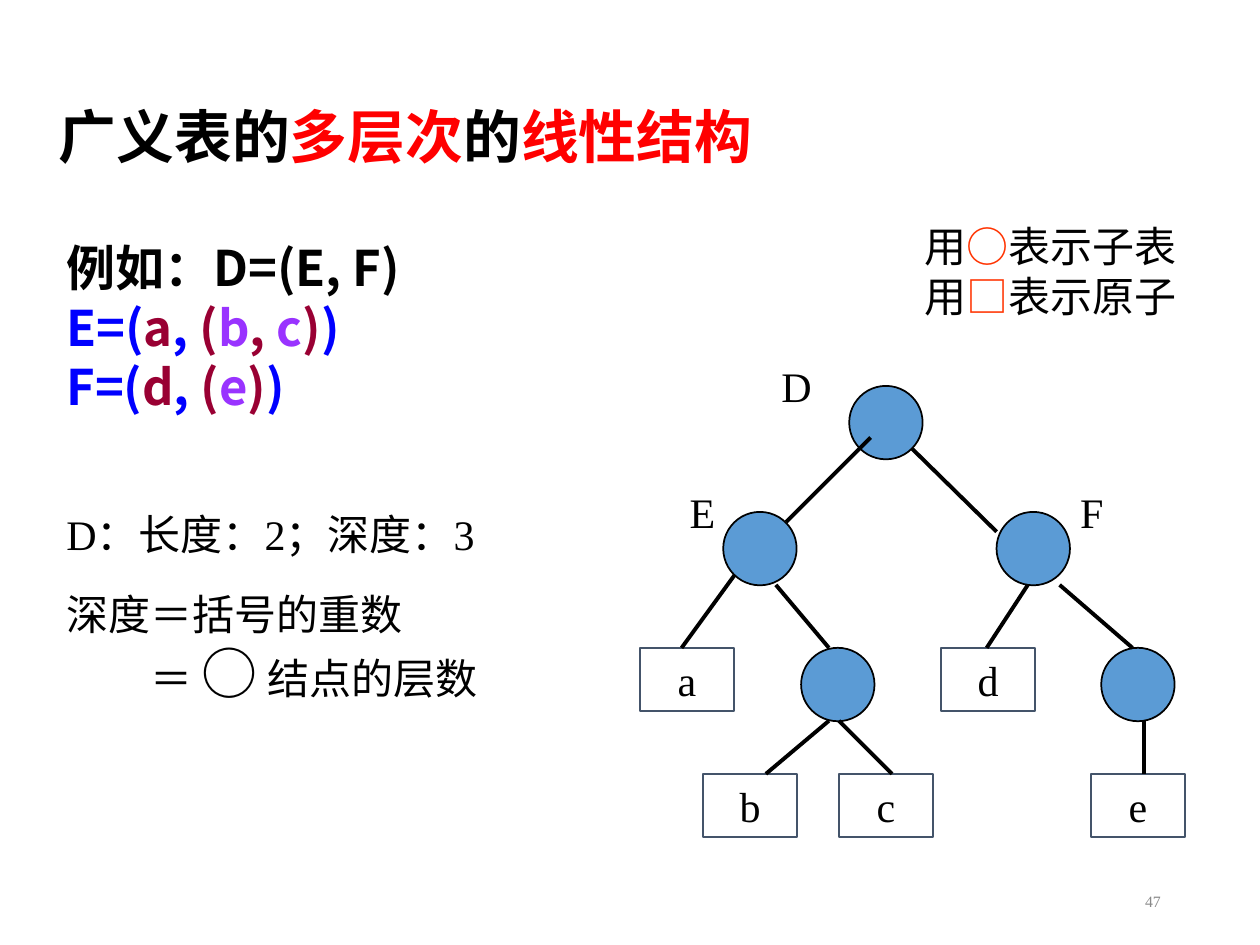
import pptx
import pptx.dml.color
import pptx.enum.shapes
import pptx.enum.text
import pptx.util
from lxml import etree
from pptx.dml.color import RGBColor
from pptx.enum.shapes import MSO_CONNECTOR, MSO_SHAPE
from pptx.enum.text import MSO_ANCHOR, PP_ALIGN
from pptx.util import Cm

BLACK = RGBColor(0x00, 0x00, 0x00)
RED = RGBColor(0xFF, 0x00, 0x00)
ORANGE = RGBColor(0xFF, 0x33, 0x00)
BLUE = RGBColor(0x00, 0x00, 0xFF)
CRIMSON = RGBColor(0x99, 0x00, 0x33)
VIOLET = RGBColor(0x99, 0x33, 0xFF)
GRAY = RGBColor(0x89, 0x89, 0x89)
NODE_FILL = RGBColor(0x5B, 0x9B, 0xD5)
ATOM_LINE = RGBColor(0x44, 0x54, 0x6A)

SERIF = "Times New Roman"
SANS = "Noto Sans CJK SC"
CIRCLE_SIZE = 1.48
ATOM_SIZE = (1.9, 1.27)
LABEL_SIZE = (1.7, 1.27)
ROWS = (0.64, 3.18, 5.92, 8.46)

CIRCLES = [(4.22, ROWS[0]), (1.68, ROWS[1]), (7.19, ROWS[1]),
           (3.25, ROWS[2]), (9.3, ROWS[2])]
ATOMS = [("a", 0, ROWS[2]), ("b", 1.27, ROWS[3]), ("c", 4.01, ROWS[3]),
         ("d", 6.07, ROWS[2]), ("e", 9.09, ROWS[3])]
LABELS = [("D", 2.31, 0), ("E", 0.41, 2.54), ("F", 8.26, 2.54)]
EDGES = [(4.65, 1.68, 2.95, 3.38), (5.49, 1.91, 7.19, 3.58),
         (1.91, 4.45, 0.84, ROWS[2]), (2.74, 4.65, 3.81, ROWS[2]),
         (7.82, 4.65, 6.99, ROWS[2]), (8.46, 4.65, 9.93, ROWS[2]),
         (3.81, 7.39, 2.54, ROWS[3]), (4.01, 7.39, 5.08, ROWS[3]),
         (10.16, 7.39, 10.16, ROWS[3])]


def style_paragraph(paragraph, font_name, size, color=BLACK, bold=False,
                    align=PP_ALIGN.LEFT):
    paragraph.alignment = align
    font = paragraph.font
    font.name = font_name
    font.size = pptx.util.Pt(size)
    font.bold = bold
    font.color.rgb = color


def add_runs(paragraph, runs):
    for text, color in runs:
        run = paragraph.add_run()
        run.text = text
        run.font.color.rgb = color


def add_text_frame(slide, left, top, width, height, anchor=MSO_ANCHOR.TOP):
    box = slide.shapes.add_textbox(Cm(left), Cm(top), Cm(width), Cm(height))
    frame = box.text_frame
    frame.word_wrap = True
    frame.vertical_anchor = anchor
    return frame


def add_title(slide, left, top, width, height):
    frame = add_text_frame(slide, left, top, width, height, MSO_ANCHOR.MIDDLE)
    paragraph = frame.paragraphs[0]
    style_paragraph(paragraph, "Calibri", 33, bold=True)
    paragraph.line_spacing = 0.9
    add_runs(paragraph, [("广义表的", BLACK), ("多层次", RED),
                         ("的", BLACK), ("线性结构", RED)])


def add_example(slide, left, top, width, height):
    lines = [
        [("例如：D=(E, F)", BLACK)],
        [("E=(", BLUE), ("a", CRIMSON), (", ", BLUE), ("(", CRIMSON),
         ("b", VIOLET), (", ", CRIMSON), ("c", VIOLET), (")", CRIMSON),
         (")", BLUE)],
        [("F=(", BLUE), ("d", CRIMSON), (",", BLUE), (" (", CRIMSON),
         ("e", VIOLET), (")", CRIMSON), (")", BLUE)],
    ]
    frame = add_text_frame(slide, left, top, width, height)
    for index, runs in enumerate(lines):
        paragraph = frame.add_paragraph() if index else frame.paragraphs[0]
        style_paragraph(paragraph, SANS, 28, bold=True)
        paragraph.line_spacing = 0.9
        paragraph.space_before = pptx.util.Pt(3.7 if index else 7.5)
        add_runs(paragraph, runs)


def add_legend(slide, left, top, width, height):
    frame = add_text_frame(slide, left, top, width, height)
    for index, (symbol, meaning) in enumerate([("○", "表示子表"), ("□", "表示原子")]):
        paragraph = frame.add_paragraph() if index else frame.paragraphs[0]
        style_paragraph(paragraph, "Arial", 24)
        add_runs(paragraph, [("用", BLACK), (symbol, ORANGE), (meaning, BLACK)])


def add_depth_notes(slide, left, top, width, height):
    length_frame = add_text_frame(slide, left, top, width, 1.27)
    length_frame.text = "D：长度：2；深度：3"
    style_paragraph(length_frame.paragraphs[0], SERIF, 24)

    depth_frame = add_text_frame(slide, left, top + 1.6, width, height - 1.6)
    depth_frame.text = "深度＝括号的重数"
    style_paragraph(depth_frame.paragraphs[0], SERIF, 24)
    paragraph = depth_frame.add_paragraph()
    style_paragraph(paragraph, SERIF, 24)
    paragraph._p.get_or_add_pPr().set("marL", str(Cm(1.69)))
    add_runs(paragraph, [("＝ ", BLACK), ("○", BLACK), (" 结点的层数", BLACK)])
    circle_font = paragraph.runs[1].font
    circle_font.name = "Arial"
    circle_font.size = pptx.util.Pt(32)


def add_outlined_shape(slide, kind, left, top, width, height, line_color):
    shape = slide.shapes.add_shape(kind, Cm(left), Cm(top), Cm(width), Cm(height))
    shape.shadow.inherit = False
    shape.line.color.rgb = line_color
    shape.line.width = pptx.util.Pt(1)
    return shape


def add_edge(slide, start_x, start_y, end_x, end_y):
    connector = slide.shapes.add_connector(
        MSO_CONNECTOR.STRAIGHT, Cm(start_x), Cm(start_y), Cm(end_x), Cm(end_y))
    connector.line.color.rgb = BLACK
    connector.line.width = pptx.util.Pt(2.25)
    etree.SubElement(connector._element.spPr, pptx.oxml.ns.qn("a:effectLst"))


def add_tree(slide, left, top):
    for x, y in CIRCLES:
        circle = add_outlined_shape(slide, MSO_SHAPE.OVAL, left + x, top + y,
                                    CIRCLE_SIZE, CIRCLE_SIZE, BLACK)
        circle.fill.solid()
        circle.fill.fore_color.rgb = NODE_FILL
    for text, x, y in ATOMS:
        atom = add_outlined_shape(slide, MSO_SHAPE.RECTANGLE, left + x, top + y,
                                  *ATOM_SIZE, ATOM_LINE)
        atom.fill.background()
        atom.text_frame.text = text
        style_paragraph(atom.text_frame.paragraphs[0], SERIF, 24,
                        align=PP_ALIGN.CENTER)
    for text, x, y in LABELS:
        frame = add_text_frame(slide, left + x, top + y, *LABEL_SIZE)
        frame.text = text
        style_paragraph(frame.paragraphs[0], SERIF, 24, align=PP_ALIGN.CENTER)
    for start_x, start_y, end_x, end_y in EDGES:
        add_edge(slide, left + start_x, top + start_y, left + end_x, top + end_y)


def add_slide_number(slide, left, top, width, height):
    frame = add_text_frame(slide, left, top, width, height, MSO_ANCHOR.MIDDLE)
    frame.text = "47"
    style_paragraph(frame.paragraphs[0], SERIF, 9, GRAY, align=PP_ALIGN.RIGHT)


def main():
    presentation = pptx.Presentation()
    presentation.slide_width = Cm(25.4)
    presentation.slide_height = Cm(19.05)
    slide = presentation.slides.add_slide(presentation.slide_layouts[6])
    add_slide_number(slide, 17.93, 17.65, 5.72, 1.02)
    add_title(slide, 0.94, 0.97, 21.92, 3.68)
    add_example(slide, 1.09, 4.8, 21.92, 12.09)
    add_tree(slide, 12.9, 7.14)
    add_legend(slide, 18.39, 4.32, 7.01, 2.29)
    add_depth_notes(slide, 1.09, 10.13, 10.41, 5.26)
    presentation.save("out.pptx")


if __name__ == "__main__":
    main()
